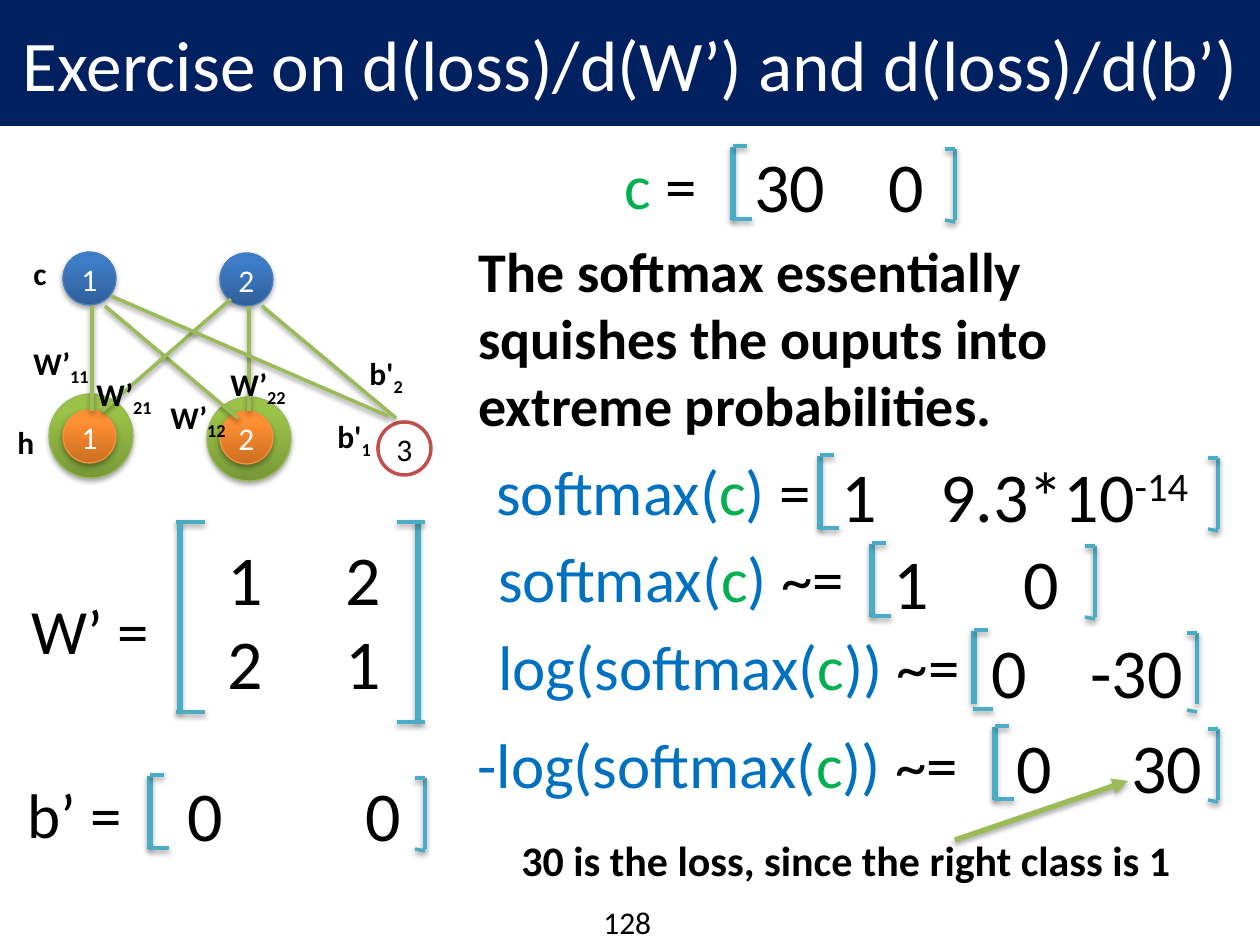
from dataclasses import dataclass

from lxml import etree
from pptx import Presentation
from pptx import util as u
from pptx.dml.color import RGBColor
from pptx.enum import shapes, text
from pptx.oxml import ns

SCALE = 914400 / 126  # EMU in one px
HUES = {
    "navy": "002060", "white": "FFFFFF", "black": "000000",
    "green": "00B050", "blue": "0070C0", "red": "C0504D",
    "edge": "9BBB59", "teal": "4BACC6",
}
# Gradient dark, gradient light, outline
BALLS = {
    "halo": ("779737", "9BC348", "98B955"),
    "out": ("2F5F99", "3D7CC7", "4B7EBC"),
    "hid": ("CC6E20", "FF9034", "F69240"),
}
FORMATS = {
    "title": {"size": u.Pt(40.7), "bold": False},
    "body": {"size": u.Pt(32), "bold": True},
    "value": {"size": u.Pt(40), "bold": False},
    "name": {"size": u.Pt(36), "bold": False},
    "note": {"size": u.Pt(24), "bold": True},
    "tag": {"size": u.Pt(18), "bold": True},
    "node": {"size": u.Pt(18), "bold": False},
}


@dataclass
class Run:
    text: str
    hue: str = "black"
    base: int = 0  # per cent, below zero for a subscript


@dataclass
class Label:
    x: int
    y: int
    w: int
    h: int
    form: str
    lines: list  # one list of runs per paragraph
    tab: int = 0


@dataclass
class Ball:
    x: int
    y: int
    size: int
    kind: str
    text: str = ""


@dataclass
class Line:
    x1: int
    y1: int
    x2: int
    y2: int
    width: int = 2
    hue: str = "teal"
    arrow: bool = False


@dataclass
class Row:
    left: int
    top: int
    right: int
    drop: int = 0  # extra depth of the lower ticks


def px(n: float) -> int:
    return round(n * SCALE)


def rgb(name: str) -> RGBColor:
    return RGBColor.from_string(HUES.get(name, name))


def add(parent, tag: str, **attrs):
    return etree.SubElement(parent, ns.qn(tag), attrs)


def shade(shape, alpha: int) -> None:
    """Give a shape or connector a soft shadow below it."""
    props = shape._element.spPr
    for old in props.findall(ns.qn("a:effectLst")):
        props.remove(old)
    cast = add(add(props, "a:effectLst"), "a:outerShdw", blurRad="39000",
               dist="22000", dir="5400000", rotWithShape="0")
    add(add(cast, "a:srgbClr", val=HUES["black"]), "a:alpha", val=str(alpha * 1000))


def fill_text(para, runs: list, form: str) -> None:
    for part in runs:
        run = para.add_run()
        run.text = part.text
        look = {"name": "Calibri", **FORMATS[form]}
        for key, val in look.items():
            setattr(run.font, key, val)
        run.font.color.rgb = rgb(part.hue)
        if part.base:
            run._r.get_or_add_rPr().set("baseline", str(part.base * 1000))


def place(shape, x: int, y: int, w: int, h: int) -> None:
    for key, val in zip(("left", "top", "width", "height"), (x, y, w, h)):
        setattr(shape, key, px(val))


def draw_label(slide, item: Label) -> None:
    box = slide.shapes.add_textbox(*map(px, (item.x, item.y, item.w, item.h)))
    frame = box.text_frame
    frame.word_wrap = True
    frame.margin_right = 0
    for i, runs in enumerate(item.lines):
        para = frame.add_paragraph() if i else frame.paragraphs[0]
        if item.tab:
            tabs = add(para._p.get_or_add_pPr(), "a:tabLst")
            add(tabs, "a:tab", pos=str(px(item.tab)), algn="l")
        fill_text(para, runs, item.form)


def draw_ball(slide, ball: Ball) -> None:
    shape = slide.shapes.add_shape(
        shapes.MSO_SHAPE.OVAL, *map(px, (ball.x, ball.y, ball.size, ball.size)))
    shape.shadow.inherit = False
    if ball.kind in BALLS:
        dark, light, edge = BALLS[ball.kind]
        shape.fill.gradient()
        shape.fill.gradient_angle = 90
        for stop, hue, pos in zip(shape.fill.gradient_stops, (dark, light), (0, 0.8)):
            stop.color.rgb = rgb(hue)
            stop.position = pos
        wide, ink = 0.75, "white"
    else:
        shape.fill.solid()
        shape.fill.fore_color.rgb = rgb("white")
        edge, wide, ink = "red", 2, "black"
    shape.line.color.rgb = rgb(edge)
    shape.line.width = u.Pt(wide)
    if ball.kind in BALLS:
        shade(shape, 35)
    if ball.text:
        frame = shape.text_frame
        for side in ("left", "top", "right", "bottom"):
            setattr(frame, "margin_" + side, 0)
        frame.vertical_anchor = text.MSO_ANCHOR.MIDDLE
        frame.paragraphs[0].alignment = text.PP_ALIGN.CENTER
        fill_text(frame.paragraphs[0], [Run(ball.text, ink)], "node")


def draw_line(slide, item: Line) -> None:
    line = slide.shapes.add_connector(
        shapes.MSO_CONNECTOR.STRAIGHT, *map(px, (item.x1, item.y1, item.x2, item.y2)))
    line.line.color.rgb = rgb(item.hue)
    line.line.width = u.Pt(item.width)
    if item.arrow:
        add(line.line._get_or_add_ln(), "a:tailEnd", type="triangle")
    shade(line, 35 if item.width == 3 else 38)


def draw_row(slide, row: Row) -> None:
    """Draw the pair of square brackets round a row vector."""
    x, y, r, low = row.left, row.top, row.right, row.top + 73 + row.drop
    for item in (
        Line(x, y + 1, x, y + 74, 3), Line(x, y, x + 14, y),
        Line(x - 1, low, x + 19, low), Line(r, y + 3, r, y + 74),
        Line(r, low + 3, r - 10, low + 1), Line(r, y + 3, r - 10, y + 3),
    ):
        draw_line(slide, item)


def tag(x: int, y: int, word: str, sub: str = "") -> Label:
    runs = [Run(word)] + ([Run(sub, base=-25)] if sub else [])
    return Label(x, y, 90, 50, "tag", [runs])


def name(x: int, y: int, w: int, head: str, end: str) -> Label:
    """A function of c: blue brackets round a green c."""
    close = ")" * head.count("(")
    parts = [Run(head, "blue"), Run("c", "green"), Run(close, "blue"), Run(end)]
    return Label(x, y, w, 89, "name", [[p for p in parts if p.text]])


def value(x: int, y: int, w: int, tab: int, *lines: str, power: str = "") -> Label:
    rows = [[Run(line)] for line in lines]
    if power:
        rows[-1].append(Run(power, base=30))
    return Label(x, y, w, 97 * len(lines), "value", rows, tab)


BACK = [Ball(207, 397, 84, "halo"), Ball(49, 394, 84, "halo")]
NODES = [
    Ball(63, 252, 53, "out", "1"), Ball(63, 410, 53, "hid", "1"),
    Ball(220, 253, 53, "out", "2"), Ball(220, 411, 53, "hid", "2"),
    Ball(378, 422, 53, "bias", "3"),
]
EDGES = [Line(*ends, hue="edge") for ends in (
    (92, 306, 92, 411), (249, 306, 249, 411), (262, 306, 396, 418),
    (105, 306, 238, 418), (231, 299, 102, 411), (111, 296, 388, 416))]
MATRIX = [
    Line(205, 522, 176, 522), Line(180, 522, 180, 712, 3), Line(176, 712, 205, 712),
    Line(418, 522, 418, 722, 3), Line(397, 522, 425, 522), Line(397, 722, 425, 722),
]
ROWS = [
    Row(733, 146, 955), Row(150, 775, 425), Row(820, 455, 1218),
    Row(872, 543, 1095), Row(974, 630, 1197, 6), Row(995, 726, 1218),
]
LABELS = [
    # Network
    tag(21, 338, "W’", "11"), tag(84, 369, "W’", "21"), tag(158, 392, "W’", "12"),
    tag(218, 359, "W’", "22"), tag(325, 411, "b'", "1"), tag(357, 348, "b'", "2"),
    tag(5, 417, "h"), tag(21, 248, "c"),
    # Weights and biases
    Label(19, 585, 145, 89, "name", [[Run("W’ =")]]),
    value(215, 529, 190, 118, "1\t2", "2\t1"),
    Label(15, 769, 121, 89, "name", [[Run("b’ =")]]),
    value(175, 765, 240, 178, "0\t0"),
    # From c to the loss
    name(612, 140, 110, "", " ="), value(742, 136, 197, 134, "30\t0"),
    name(484, 446, 355, "softmax(", " ="),
    value(829, 446, 383, 99, "1\t9.3*10", power="-14"),
    name(486, 533, 390, "softmax(", " ~="), value(881, 533, 193, 130, "1\t0"),
    name(486, 621, 505, "log(softmax(", " ~="), value(979, 622, 218, 99, "0\t-30"),
    name(465, 719, 540, "-log(softmax(", " ~="), value(1004, 717, 213, 115, "0\t30"),
    Label(509, 828, 682, 63, "note", [[Run("30 is the loss, since the right class is 1")]]),
    Label(591, 897, 90, 50, "node", [[Run("128")]]),
]


def main() -> None:
    deck = Presentation()
    deck.slide_width, deck.slide_height = px(1260), px(945)
    slide = deck.slides.add_slide(deck.slide_layouts[1])

    # Title and body
    title, body = slide.shapes.title, slide.placeholders[1]
    place(title, 0, 0, 1260, 126)
    title.fill.solid()
    title.fill.fore_color.rgb = rgb("navy")
    place(body, 466, 230, 738, 218)
    para = body.text_frame.paragraphs[0]
    props = para._p.get_or_add_pPr()
    props.set("marL", "0")
    props.set("indent", "0")
    add(props, "a:buNone")
    para.space_before = u.Pt(0)
    for shape, form, words, hue in (
        (title, "title", "Exercise on d(loss)/d(W’) and d(loss)/d(b’)", "white"),
        (body, "body", "The softmax essentially squishes the ouputs into "
                       "extreme probabilities.", "black"),
    ):
        shape.text_frame.auto_size = text.MSO_AUTO_SIZE.NONE
        fill_text(shape.text_frame.paragraphs[0], [Run(words, hue)], form)

    # Network, brackets, arrow to the loss, then all labels
    arrow = Line(955, 840, 1128, 781, 3, "edge", True)
    for items, draw in (
        (BACK + NODES, draw_ball), (EDGES + MATRIX, draw_line),
        (ROWS, draw_row), ([arrow], draw_line), (LABELS, draw_label),
    ):
        for item in items:
            draw(slide, item)
    deck.save("out.pptx")


if __name__ == "__main__":
    main()
